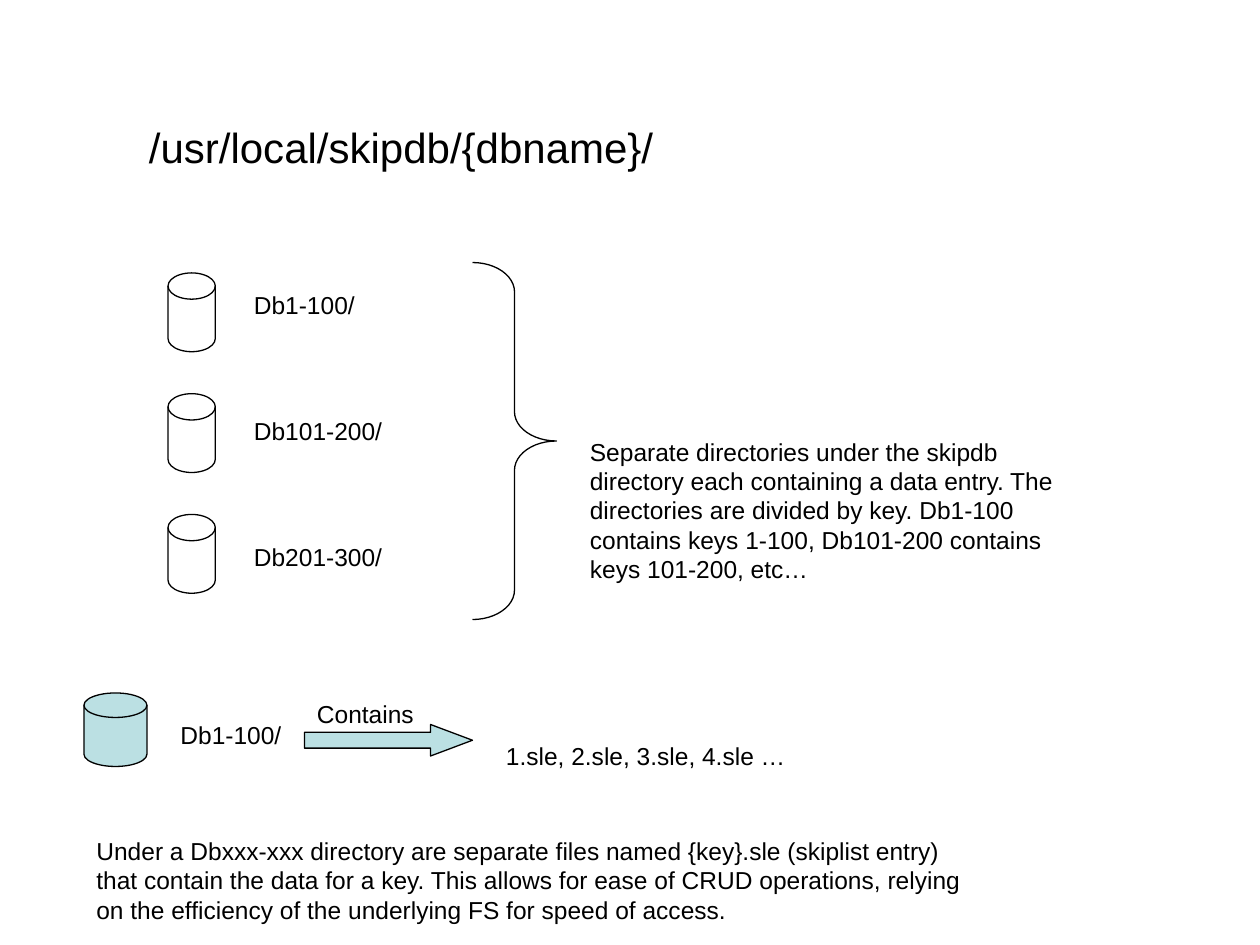
import dataclasses

import pptx
import pptx.dml.color
import pptx.enum.shapes
import pptx.enum.text
import pptx.util

SHAPES = pptx.enum.shapes.MSO_SHAPE
CELL = pptx.util.Inches(1) / 12
LABEL_ROWS = 4.04


@dataclasses.dataclass(frozen=True)
class Theme:
    """Colours, font and sizes of the slide."""

    ink: str = "000000"
    paper: str = "FFFFFF"
    accent: str = "BBE0E3"
    font: str = "Arial"
    title_size: float = 24
    body_size: float = 14
    line_width: float = 0.75
    space_share: float = 0.625


@dataclasses.dataclass(frozen=True)
class Box:
    """A rectangle in columns and rows of a twelfth of an inch."""

    col: float
    row: float
    cols: float
    rows: float

    def inner(self, col, row, cols, rows):
        """Return a box placed relative to this one."""
        return Box(self.col + col, self.row + row, cols, rows)

    def lengths(self):
        """Return left, top, width and height in EMU."""
        return [round(n * CELL) for n in (self.col, self.row, self.cols, self.rows)]


THEME = Theme()


def colour(code):
    """Turn a hex code into a colour."""
    return pptx.dml.color.RGBColor.from_string(code)


def add_text(page, box, text, size=THEME.body_size):
    """Add wrapped text in the theme font."""
    frame = page.shapes.add_textbox(*box.lengths()).text_frame
    frame.word_wrap = True
    frame.auto_size = pptx.enum.text.MSO_AUTO_SIZE.SHAPE_TO_FIT_TEXT
    frame.text = text
    para = frame.paragraphs[0]
    para.space_before = pptx.util.Pt(round(size * THEME.space_share, 1))
    font = para.runs[0].font
    font.name = THEME.font
    font.size = pptx.util.Pt(size)
    font.color.rgb = colour(THEME.ink)


def add_outline(page, kind, box, fill=None, adjustments=()):
    """Add a thinly outlined preset shape, filled when a colour is given."""
    shape = page.shapes.add_shape(kind, *box.lengths())
    shape.shadow.inherit = False
    if fill:
        shape.fill.solid()
        shape.fill.fore_color.rgb = colour(fill)
    else:
        shape.fill.background()
    shape.line.color.rgb = colour(THEME.ink)
    shape.line.width = pptx.util.Pt(THEME.line_width)
    for index, value in enumerate(adjustments):
        shape.adjustments[index] = value


def add_directories(page, box):
    """Place the directory disks, their names, the brace and the explanation."""
    names = ("Db1-100/", "Db101-200/", "Db201-300/")
    for index, name in enumerate(names):
        disk = box.inner(0, 1 + 11.5 * index, 4.5, 7.5)
        add_outline(page, SHAPES.FLOWCHART_MAGNETIC_DISK, disk, THEME.paper)
        add_text(page, box.inner(7, 2 + 12 * index, 25, LABEL_ROWS), name)
    brace = box.inner(29, 0, 8, box.rows)
    add_outline(page, SHAPES.RIGHT_BRACE, brace, adjustments=(0.35, 0.5))
    add_text(
        page,
        box.inner(39, 16, 49, 15.25),
        "Separate directories under the skipdb directory each containing a data entry. "
        "The directories are divided by key. Db1-100 contains keys 1-100, "
        "Db101-200 contains keys 101-200, etc…",
    )


def add_contents(page, box):
    """Place one directory, the arrow and the files it contains."""
    disk = box.inner(0, 0, 6, 7)
    add_outline(page, SHAPES.FLOWCHART_MAGNETIC_DISK, disk, THEME.accent)
    add_text(page, box.inner(8, 2, 21, LABEL_ROWS), "Db1-100/")
    arrow = box.inner(21, 3, 16, 3)
    add_outline(page, SHAPES.RIGHT_ARROW, arrow, THEME.accent, (0.5, 1.33))
    add_text(page, box.inner(21, 0, 16, LABEL_ROWS), "Contains")
    add_text(page, box.inner(39, 4, 52, LABEL_ROWS), "1.sle, 2.sle, 3.sle, 4.sle …")


def main():
    """Build and save the slide."""
    deck = pptx.Presentation()
    deck.slide_width = pptx.util.Inches(10)
    deck.slide_height = pptx.util.Inches(7.5)
    page = deck.slides.add_slide(deck.slide_layouts[6])
    add_text(page, Box(13, 11, 56, 6), "/usr/local/skipdb/{dbname}/", THEME.title_size)
    add_directories(page, Box(16, 25, 88, 34))
    add_contents(page, Box(8, 66, 91, 8))
    add_text(
        page,
        Box(8, 79, 85, 9.6),
        "Under a Dbxxx-xxx directory are separate files named {key}.sle (skiplist entry) "
        "that contain the data for a key. This allows for ease of CRUD operations, "
        "relying on the efficiency of the underlying FS for speed of access.",
    )
    deck.save("out.pptx")


if __name__ == "__main__":
    main()
